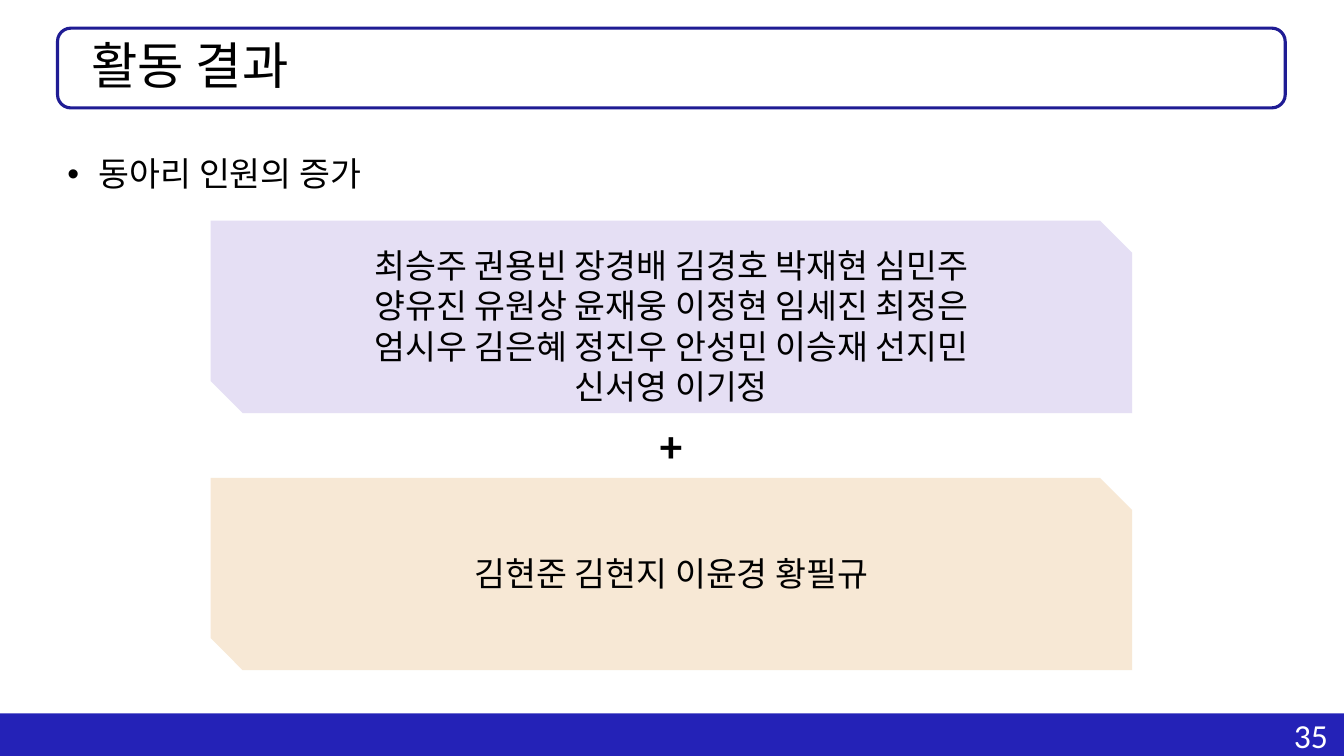
"""Build the activity results slide on the growth of club membership."""
import pptx
import pptx.dml.color
import pptx.enum.shapes
import pptx.enum.text
import pptx.oxml
import pptx.oxml.ns
import pptx.util
from pptx.util import Cm

SHAPE = pptx.enum.shapes.MSO_SHAPE
ALIGN = pptx.enum.text.PP_ALIGN
ANCHOR = pptx.enum.text.MSO_ANCHOR
SLIDE_WIDTH, SLIDE_HEIGHT = 33.87, 19.05
PANEL_LEFT, PANEL_WIDTH, PANEL_HEIGHT = 5.31, 23.22, 4.85
MEMBERS_TOP, PLUS_HEIGHT = 5.56, 1.63
NEWCOMERS_TOP = MEMBERS_TOP + PANEL_HEIGHT + PLUS_HEIGHT

MEMBERS = [
    "최승주 권용빈 장경배 김경호 박재현 심민주",
    "양유진 유원상 윤재웅 이정현 임세진 최정은\v엄시우 김은혜 정진우 안성민 이승재 선지민",
    "신서영 이기정",
]
NEWCOMERS = ["김현준 김현지 이윤경 황필규"]


def color(hex_code):
    """Return the RGB colour for a hex string."""
    return pptx.dml.color.RGBColor.from_string(hex_code)


def add_block(slide, preset, box, fill=None, outline=None):
    """Add a flat preset shape with an optional fill and outline."""
    block = slide.shapes.add_shape(preset, *map(Cm, box))
    block.shadow.inherit = False
    if fill:
        block.fill.solid()
        block.fill.fore_color.rgb = color(fill)
    else:
        block.fill.background()
    if outline:
        block.line.color.rgb = color(outline)
        block.line.width = pptx.util.Pt(2.25)
    else:
        block.line.fill.background()


def add_text(slide, box, lines, size=24, hex_code="000000", bold=False,
             align=ALIGN.LEFT, anchor=ANCHOR.TOP, spacing=None, wrap=True, bullet=False):
    """Add a text box holding one paragraph per line."""
    frame = slide.shapes.add_textbox(*map(Cm, box)).text_frame
    frame.word_wrap = wrap
    frame.vertical_anchor = anchor
    for index, line in enumerate(lines):
        paragraph = frame.add_paragraph() if index else frame.paragraphs[0]
        paragraph.text = line
        paragraph.alignment = align
        if spacing:
            paragraph.line_spacing = spacing
        if bullet:
            properties = paragraph._p.get_or_add_pPr()
            properties.set("marL", str(Cm(0.79)))
            properties.set("indent", str(-Cm(0.79)))
            namespace = pptx.oxml.ns.nsdecls("a")
            for element in ('buFont {} typeface="Arial"', 'buChar {} char="•"'):
                properties.append(pptx.oxml.parse_xml(f"<a:{element.format(namespace)}/>"))
        paragraph.font.name = "Calibri"
        paragraph.font.size = pptx.util.Pt(size)
        paragraph.font.bold = bold
        paragraph.font.color.rgb = color(hex_code)


def add_footer(slide, left, top, width, height):
    """Add the footer band with the slide number at its right end."""
    add_block(slide, SHAPE.RECTANGLE, (left, top, width, height), fill="2422B7")
    add_text(slide, (left + width - 1.51, top - 0.1, 1.52, 1.27), ["35"],
             hex_code="FFFFFF", wrap=False)


def add_title(slide, left, top, width, height):
    """Add the outlined title bar."""
    add_block(slide, SHAPE.ROUNDED_RECTANGLE, (left, top, width, height), outline="1F1C94")
    add_text(slide, (left + 0.61, top, width - 1.73, height), ["활동 결과"],
             size=36, anchor=ANCHOR.MIDDLE, spacing=0.9)


def add_name_panel(slide, left, top, width, height, fill, names, names_box):
    """Add a snipped panel with names in a box given relative to it."""
    add_block(slide, SHAPE.SNIP_2_DIAG_RECTANGLE, (left, top, width, height), fill=fill)
    names_top, names_width, names_height = names_box
    names_left = left + (width - names_width) / 2
    add_text(slide, (names_left, top + names_top, names_width, names_height), names,
             align=ALIGN.CENTER, wrap=False)


def main():
    """Build the slide and save it."""
    presentation = pptx.Presentation()
    presentation.slide_width = Cm(SLIDE_WIDTH)
    presentation.slide_height = Cm(SLIDE_HEIGHT)
    slide = presentation.slides.add_slide(presentation.slide_layouts[6])
    add_footer(slide, 0, 17.98, SLIDE_WIDTH, 1.07)
    add_title(slide, 1.45, 0.71, 30.94, 2.01)
    add_text(slide, (1.45, 3.23, 25.53, 1.8), ["동아리 인원의 증가"], spacing=1.5, bullet=True)
    add_name_panel(slide, PANEL_LEFT, MEMBERS_TOP, PANEL_WIDTH, PANEL_HEIGHT,
                   "E5DFF4", MEMBERS, (0.49, 16.87, 4.37))
    add_text(slide, (16.38, MEMBERS_TOP + PANEL_HEIGHT, 1.09, PLUS_HEIGHT), ["+"],
             size=32, bold=True, wrap=False)
    add_name_panel(slide, PANEL_LEFT, NEWCOMERS_TOP, PANEL_WIDTH, PANEL_HEIGHT,
                   "F7E8D5", NEWCOMERS, (1.78, 11.35, 1.27))
    presentation.save("out.pptx")


if __name__ == "__main__":
    main()
